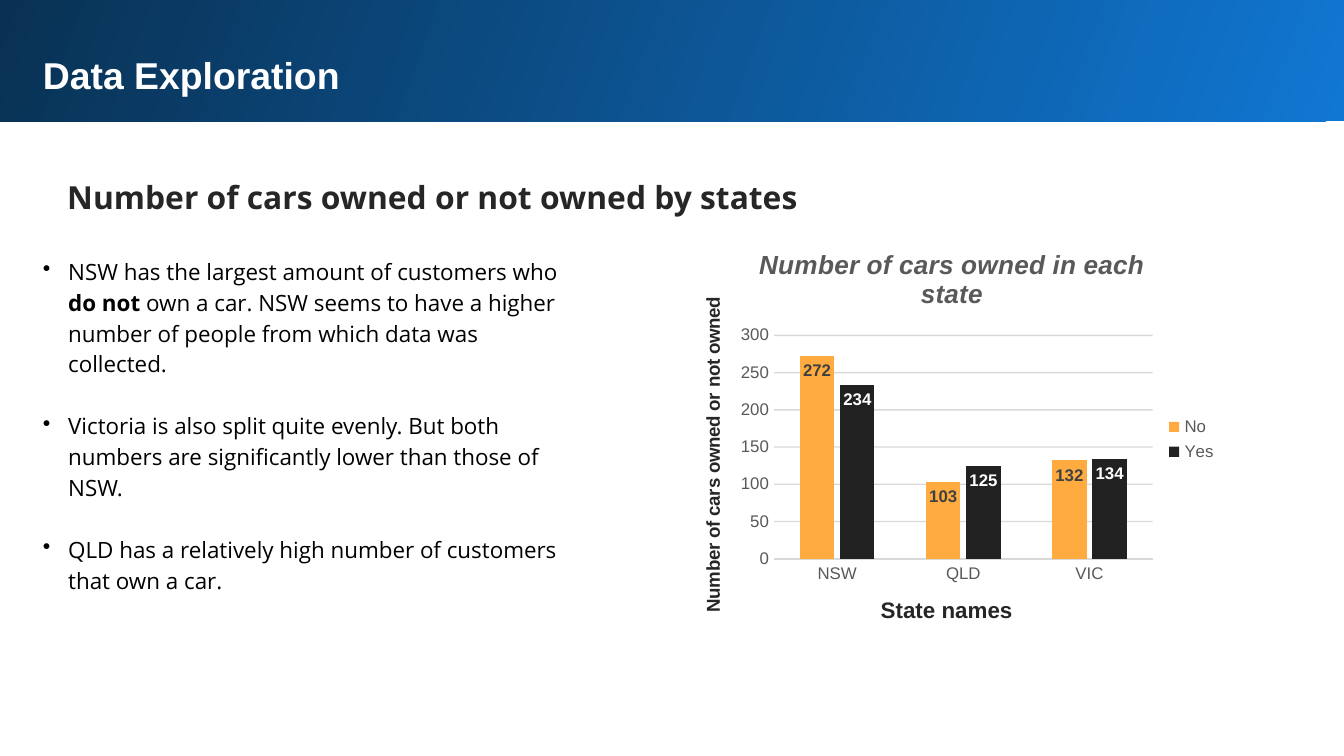
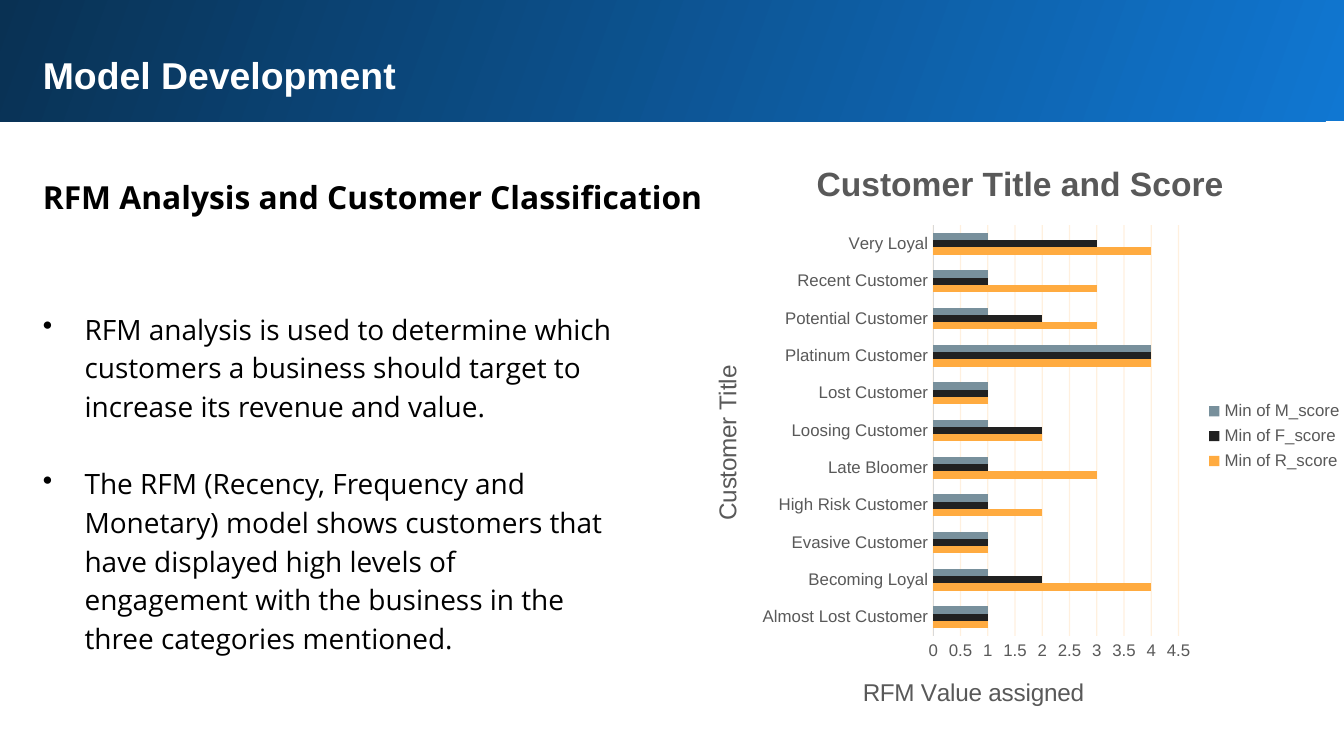
from lxml.etree import SubElement
from pptx import Presentation
from pptx.chart.data import CategoryChartData
from pptx.dml.color import RGBColor
from pptx.enum.chart import XL_CHART_TYPE, XL_LABEL_POSITION, XL_LEGEND_POSITION, XL_TICK_MARK
from pptx.enum.shapes import MSO_SHAPE
from pptx.enum.text import MSO_ANCHOR, MSO_AUTO_SIZE, PP_ALIGN
from pptx.oxml.ns import qn
from pptx.util import Cm, Pt

COLORS = {
    "white": "FFFFFF", "black": "000000", "ink": "262626", "label": "404040",
    "grey": "595959", "rule": "D9D9D9", "bright": "1077D2", "navy": "093153",
    "orange": "FFAB40", "coal": "212121", "slate": "78909C",
}
SANS, BODY = "Arial", "Open Sans"
LEFT = 0.56


def hue(name):
    return RGBColor.from_string(COLORS[name])


def style(font, size, color, bold=False, name=SANS, italic=False):
    font.size, font.name = Pt(size), name
    font.bold, font.italic = bold, italic
    font.color.rgb = hue(color)


def place(shape, box):
    shape.left, shape.top, shape.width, shape.height = map(Cm, box)


def set_frame(frame):
    frame.word_wrap = True
    frame.auto_size = MSO_AUTO_SIZE.SHAPE_TO_FIT_TEXT
    frame.vertical_anchor = MSO_ANCHOR.TOP
    frame.margin_left = frame.margin_right = Cm(0.25)
    frame.margin_top = frame.margin_bottom = Cm(0.25)


# Header: gradient band with the slide title on top
def add_header(slide, text, box):
    x, y, width, height = box
    band = slide.shapes.add_shape(MSO_SHAPE.RECTANGLE, *map(Cm, box))
    band.shadow.inherit = False
    band.line.fill.background()
    band.fill.gradient()
    band.fill.gradient_angle = 160
    for stop, color in zip(band.fill.gradient_stops, ("bright", "navy")):
        stop.color.rgb = hue(color)
    band.element.getparent().insert(2, band.element)

    title = slide.shapes.title
    place(title, (x + 0.61, y + 0.79, width - 1.73, 1.3))
    set_frame(title.text_frame)
    title.text_frame.text = text
    para = title.text_frame.paragraphs[0]
    para.alignment = PP_ALIGN.LEFT
    style(para.font, 20, "white", True)


# Subheading
def add_head(slide, text, box, color, align):
    frame = slide.shapes.add_textbox(*map(Cm, box)).text_frame
    set_frame(frame)
    frame.text = text
    para = frame.paragraphs[0]
    para.alignment, para.line_spacing = align, 1.15
    style(para.font, 17, color, True, BODY)


# Bullet list: each point is a list of (text, bold) runs
def add_points(slide, points, box, size, indent):
    frame = slide.shapes.add_textbox(*map(Cm, box)).text_frame
    set_frame(frame)
    for i, point in enumerate(points):
        para = frame.add_paragraph() if i else frame.paragraphs[0]
        para.line_spacing = 1.15
        para.space_before = Pt(round(size * 1.38, 1) if i else 0)
        props = para._p.get_or_add_pPr()
        props.set("marL", str(Cm(indent)))
        props.set("indent", str(-Cm(indent)))
        SubElement(props, qn("a:buChar"), char="•")
        style(para.font, size, "black", name=BODY)
        for text, bold in point:
            run = para.add_run()
            run.text = text
            if bold:
                run.font.bold = True


def set_title(title, text, size, color="grey", bold=False, italic=False):
    title.text_frame.text = text
    style(title.text_frame.paragraphs[0].font, size, color, bold, italic=italic)


# Clustered chart with the shared axis and legend look
def add_chart(slide, kind, box, cats, series, gap, overlap, grid, alpha):
    data = CategoryChartData()
    data.categories = cats
    for name, values, _ in series:
        data.add_series(name, values)
    chart = slide.shapes.add_chart(kind, *map(Cm, box), data).chart
    style(chart.font, 10, "black")
    plot = chart.plots[0]
    plot.gap_width, plot.overlap, plot.vary_by_categories = gap, overlap, False
    for item, (_, _, color) in zip(plot.series, series):
        item.format.fill.solid()
        item.format.fill.fore_color.rgb = hue(color)
        item.invert_if_negative = False

    chart.has_legend = True
    chart.legend.position = XL_LEGEND_POSITION.RIGHT
    chart.legend.include_in_layout = False
    style(chart.legend.font, 9, "grey")

    for axis in (chart.category_axis, chart.value_axis):
        axis.major_tick_mark = axis.minor_tick_mark = XL_TICK_MARK.NONE
        style(axis.tick_labels.font, 9, "grey")
    rule = chart.category_axis.format.line
    rule.width, rule.color.rgb = Pt(0.75), hue("rule")
    chart.value_axis.format.line.fill.background()
    chart.value_axis.has_major_gridlines = True
    line = chart.value_axis.major_gridlines.format.line
    line.width, line.color.rgb = Pt(0.75), hue(grid)
    shade = next(chart.value_axis.major_gridlines._xAx.iter(qn("c:majorGridlines")))
    for tone in shade.iter(qn("a:srgbClr")):
        SubElement(tone, qn("a:alpha"), val=str(alpha * 1000))
    return chart


def add_labels(chart, colors):
    for item, color in zip(chart.plots[0].series, colors):
        labels = item.data_labels
        labels.show_value = True
        labels.position = XL_LABEL_POSITION.INSIDE_END
        style(labels.font, 9, color, True)


def start_slide(deck, title):
    slide = deck.slides.add_slide(deck.slide_layouts[5])
    add_header(slide, title, (-0.05, -0.05, 25.53, 2.34))
    return slide


# Slide 1: car owners by state
def add_cars(deck):
    slide = start_slide(deck, "Data Exploration")
    add_head(slide, "Number of cars owned or not owned by states ",
             (LEFT, 3, 15.39, 1.3), "ink", PP_ALIGN.CENTER)
    points = [
        [("NSW has the largest amount of customers who ", False),
         ("do not ", True),
         ("own a car. NSW seems to have a higher number of people "
          "from which data was collected.", False)],
        [("Victoria is also split quite evenly. But both numbers are "
          "significantly lower than those of NSW.", False)],
        [("QLD has a relatively high number of customers that own a car.", False)],
    ]
    add_points(slide, points, (LEFT, 4.55, 10.69, 6.96), 12, 0.48)
    series = [("No", (272, 103, 132), "orange"), ("Yes", (234, 125, 134), "coal")]
    chart = add_chart(slide, XL_CHART_TYPE.COLUMN_CLUSTERED, (12.73, 4.29, 10.52, 8.03),
                      ("NSW", "QLD", "VIC"), series, 150, -17, "black", 14)
    add_labels(chart, ("label", "white"))
    set_title(chart.chart_title, "Number of cars owned in each state", 14,
              bold=True, italic=True)
    set_title(chart.category_axis.axis_title, "State names", 12, "ink", True)
    set_title(chart.value_axis.axis_title, "Number of cars owned or not owned",
              10, "ink", True)


# Slide 2: customer scores
def add_scores(deck):
    slide = start_slide(deck, "Model Development")
    add_head(slide, "RFM Analysis and Customer Classification",
             (LEFT, 3, 15.6, 1.3), "black", PP_ALIGN.LEFT)
    points = [
        [("RFM analysis is used to determine which customers a business should "
          "target to increase its revenue and value.", False)],
        [("The RFM (Recency, Frequency and Monetary) model shows customers that "
          "have displayed high levels of engagement with the business in the "
          "three categories mentioned.", False)],
    ]
    add_points(slide, points, (LEFT, 5.56, 11.48, 7.11), 15, 0.79)
    cats = ("Almost Lost Customer", "Becoming Loyal", "Evasive Customer",
            "High Risk Customer", "Late Bloomer", "Loosing Customer",
            "Lost Customer", "Platinum Customer", "Potential Customer",
            "Recent Customer", "Very Loyal")
    series = [
        ("Min of R_score", (1, 4, 1, 2, 3, 2, 1, 4, 3, 3, 4), "orange"),
        ("Min of F_score", (1, 2, 1, 1, 1, 2, 1, 4, 2, 1, 3), "coal"),
        ("Min of M_score", (1, 1, 1, 1, 1, 1, 1, 4, 1, 1, 1), "slate"),
    ]
    chart = add_chart(slide, XL_CHART_TYPE.BAR_CLUSTERED, (12.93, 2.57, 12.7, 11.35),
                      cats, series, 219, 0, "orange", 17)
    set_title(chart.chart_title, "Customer Title and Score", 18, bold=True)
    set_title(chart.category_axis.axis_title, "Customer Title", 13)
    set_title(chart.value_axis.axis_title, "RFM Value assigned ", 13)


def main():
    deck = Presentation()
    deck.slide_width, deck.slide_height = Cm(25.4), Cm(14.29)
    add_cars(deck)
    add_scores(deck)
    deck.save("out.pptx")


if __name__ == "__main__":
    main()
